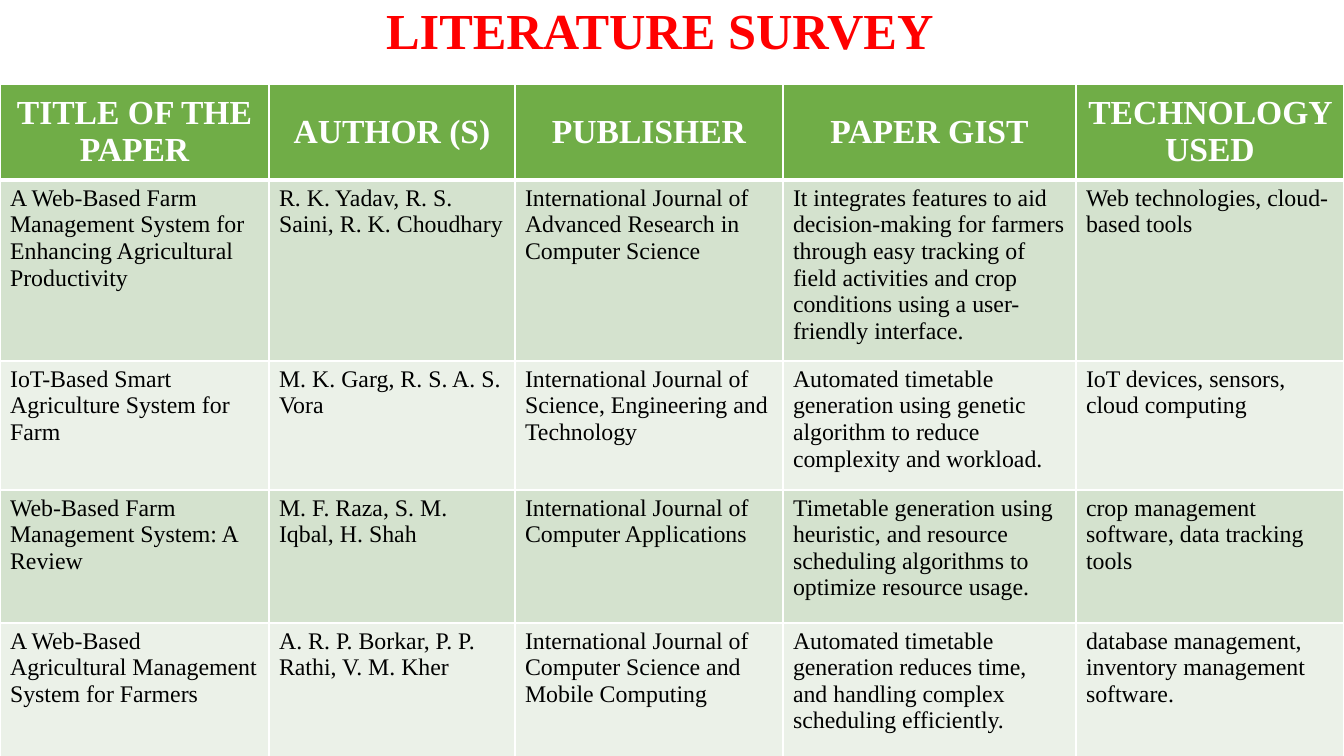
"""Build the literature survey slide: a title above a table of papers."""
import lxml.etree
import pptx
import pptx.dml.color
import pptx.enum.text
import pptx.oxml.ns
import pptx.util

SLIDE_WIDTH, SLIDE_HEIGHT = 1344, 756
EMU_PER_PX = 12192000 / SLIDE_WIDTH
FONT = "Times New Roman"
RED = pptx.dml.color.RGBColor(0xFF, 0x00, 0x00)
WHITE = pptx.dml.color.RGBColor(0xFF, 0xFF, 0xFF)
BLACK = pptx.dml.color.RGBColor(0x00, 0x00, 0x00)
GREEN = pptx.dml.color.RGBColor(0x70, 0xAD, 0x47)
BANDS = (
    pptx.dml.color.RGBColor(0xD4, 0xE2, 0xCE),
    pptx.dml.color.RGBColor(0xEB, 0xF1, 0xE8),
)
COLUMN_WIDTHS = (269, 246, 268, 293, 268)
ROW_HEIGHTS = (96, 181, 129, 133, 159)
TABLE_TOP = 84

HEADINGS = ("TITLE OF THE PAPER", "AUTHOR (S)", "PUBLISHER", "PAPER GIST", "TECHNOLOGY USED")
PAPERS = (
    (
        "A Web-Based Farm Management System for Enhancing Agricultural Productivity",
        "R. K. Yadav, R. S. Saini, R. K. Choudhary",
        "International Journal of Advanced Research in Computer Science",
        "It integrates features to aid decision-making for farmers through easy tracking of "
        "field activities and crop conditions using a user-friendly interface.",
        "Web technologies, cloud-based tools",
    ),
    (
        "IoT-Based Smart Agriculture System for Farm",
        "M. K. Garg, R. S. A. S. Vora",
        "International Journal of Science, Engineering and Technology",
        "Automated timetable generation using genetic algorithm to reduce complexity and workload.",
        "IoT devices, sensors, cloud computing",
    ),
    (
        "Web-Based Farm Management System: A Review",
        "M. F. Raza, S. M. Iqbal, H. Shah",
        "International Journal of Computer Applications",
        "Timetable generation using heuristic, and resource scheduling algorithms to "
        "optimize resource usage.",
        "crop management software, data tracking tools",
    ),
    (
        "A Web-Based Agricultural Management System for Farmers",
        "A. R. P. Borkar, P. P. Rathi, V. M. Kher",
        "International Journal of Computer Science and Mobile Computing",
        "Automated timetable generation reduces time, and handling complex scheduling efficiently.",
        "database management, inventory management software.",
    ),
)


def px(length):
    """Turn pixels into EMU."""
    return pptx.util.Emu(round(length * EMU_PER_PX))


def add_text(text_frame, text, size, color, bold, alignment):
    """Write one formatted run into the first paragraph."""
    paragraph = text_frame.paragraphs[0]
    paragraph.alignment = alignment
    run = paragraph.add_run()
    run.text = text
    run.font.name = FONT
    run.font.size = pptx.util.Pt(size)
    run.font.bold = bold
    run.font.color.rgb = color


def add_title(slide, text):
    """Place and fill the title placeholder."""
    title = slide.shapes.title
    title.left, title.top, title.width, title.height = px(373), px(-6), px(574), px(72)
    title.text_frame.vertical_anchor = pptx.enum.text.MSO_ANCHOR.TOP
    add_text(title.text_frame, text, 36, RED, True, pptx.enum.text.PP_ALIGN.CENTER)


def add_borders(cell, top, bottom):
    """Draw white cell borders, with the top and bottom widths in points."""
    properties = cell._tc.get_or_add_tcPr()
    for side, width in (("L", 1), ("R", 1), ("T", top), ("B", bottom)):
        line = lxml.etree.SubElement(properties, pptx.oxml.ns.qn(f"a:ln{side}"))
        line.set("w", str(pptx.util.Pt(width)))
        fill = lxml.etree.SubElement(line, pptx.oxml.ns.qn("a:solidFill"))
        lxml.etree.SubElement(fill, pptx.oxml.ns.qn("a:srgbClr")).set("val", str(WHITE))


def fill_cell(cell, text, row_index):
    """Format a cell as a heading or as part of a banded row."""
    is_heading = row_index == 0
    add_borders(cell, 3 if row_index == 1 else 1, 3 if is_heading else 1)
    cell.fill.solid()
    if is_heading:
        cell.fill.fore_color.rgb = GREEN
        cell.vertical_anchor = pptx.enum.text.MSO_ANCHOR.MIDDLE
        add_text(cell.text_frame, text, 24, WHITE, True, pptx.enum.text.PP_ALIGN.CENTER)
    else:
        cell.fill.fore_color.rgb = BANDS[(row_index - 1) % len(BANDS)]
        add_text(cell.text_frame, text, 17, BLACK, False, pptx.enum.text.PP_ALIGN.LEFT)


def add_survey_table(slide):
    """Add the table of headings and papers."""
    table = slide.shapes.add_table(
        len(ROW_HEIGHTS), len(COLUMN_WIDTHS),
        px(0), px(TABLE_TOP), px(sum(COLUMN_WIDTHS)), px(sum(ROW_HEIGHTS)),
    ).table
    for column, width in zip(table.columns, COLUMN_WIDTHS):
        column.width = px(width)
    for row_index, texts in enumerate((HEADINGS, *PAPERS)):
        table.rows[row_index].height = px(ROW_HEIGHTS[row_index])
        for column_index, text in enumerate(texts):
            fill_cell(table.cell(row_index, column_index), text, row_index)


def main():
    """Build and save the presentation."""
    presentation = pptx.Presentation()
    presentation.slide_width = px(SLIDE_WIDTH)
    presentation.slide_height = px(SLIDE_HEIGHT)
    slide = presentation.slides.add_slide(presentation.slide_layouts.get_by_name("Title Only"))
    add_title(slide, "LITERATURE SURVEY")
    add_survey_table(slide)
    presentation.save("out.pptx")


if __name__ == "__main__":
    main()
